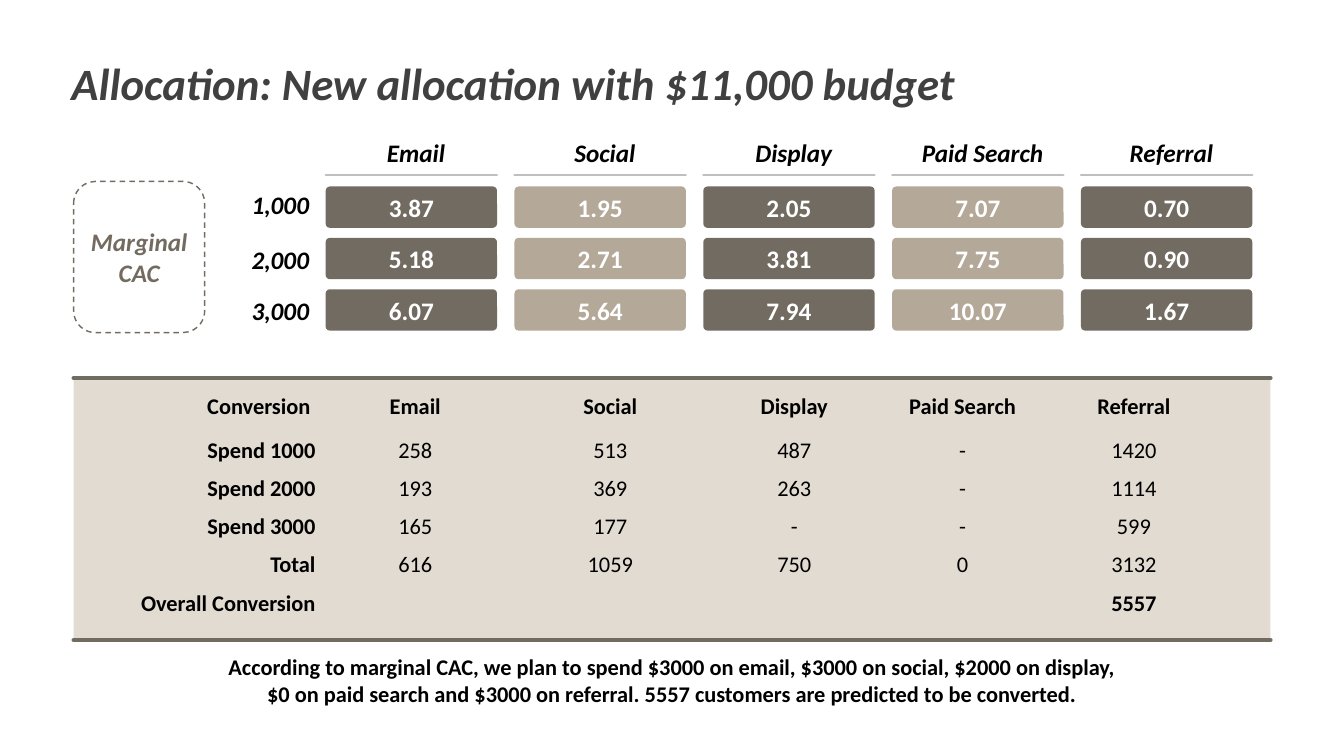
"""Build the slide on allocating an $11,000 budget by marginal CAC."""
from dataclasses import dataclass
from itertools import cycle

from lxml.etree import SubElement
from pptx import Presentation
from pptx.dml.color import RGBColor
from pptx.enum.dml import MSO_LINE_DASH_STYLE as Dash
from pptx.enum.shapes import MSO_CONNECTOR as Connector, MSO_SHAPE as Shape
from pptx.enum.text import MSO_ANCHOR as Anchor, MSO_AUTO_SIZE as AutoSize, PP_ALIGN as Align
from pptx.oxml.ns import qn
from pptx.util import Inches, Pt

FONT = "Calibri"
WHITE = RGBColor(0xFF, 0xFF, 0xFF)
BLACK = RGBColor(0, 0, 0)
CHARCOAL = RGBColor(0x40, 0x40, 0x40)
DARK_TAUPE = RGBColor(0x72, 0x6B, 0x61)
LIGHT_TAUPE = RGBColor(0xB4, 0xA8, 0x99)
LABEL_TAUPE = RGBColor(0x73, 0x6B, 0x60)
SAND = RGBColor(0xC6, 0xB8, 0xA5)
SILVER = RGBColor(0xBF, 0xBF, 0xBF)
NO_GRID_STYLE = "{2D5ABB26-0587-4C30-8999-92F81FD0307C}"

SLIDE_W, SLIDE_H = Inches(13.33), Inches(7.5)


def across(percent: float) -> int:
    """Turn a percentage of the slide's width into a length."""
    return round(SLIDE_W * percent / 100)


def down(percent: float) -> int:
    """Turn a percentage of the slide's height into a length."""
    return round(SLIDE_H * percent / 100)


@dataclass(frozen=True)
class Box:
    """A rectangle in percentages of the slide's width and height."""
    left: float
    top: float
    width: float
    height: float

    def lengths(self) -> tuple[int, int, int, int]:
        """Return left, top, width and height as lengths."""
        return across(self.left), down(self.top), across(self.width), down(self.height)


@dataclass(frozen=True)
class TextStyle:
    """The look of a text."""
    size: int = 18
    color: RGBColor = BLACK
    bold: bool = True
    italic: bool = False
    align: Align = Align.CENTER
    anchor: Anchor = Anchor.MIDDLE


@dataclass(frozen=True)
class Channel:
    """A marketing channel with marginal CAC and conversions per spend level."""
    name: str
    marginal_cac: tuple[str, ...]
    conversions: tuple[str, ...]


CHANNELS = (
    Channel("Email", ("3.87", "5.18", "6.07"), ("258", "193", "165", "616")),
    Channel("Social", ("1.95", "2.71", "5.64"), ("513", "369", "177", "1059")),
    Channel("Display", ("2.05", "3.81", "7.94"), ("487", "263", "-", "750")),
    Channel("Paid Search", ("7.07", "7.75", "10.07"), ("-", "-", "-", "0")),
    Channel("Referral", ("0.70", "0.90", "1.67"), ("1420", "1114", "599", "3132")),
)
SPEND_TOPS = {"1,000": 26.53, "2,000": 33.73, "3,000": 40.53}
CONVERSION_LABELS = ("Conversion ", "Spend 1000", "Spend 2000", "Spend 3000",
                     "Total", "Overall Conversion")
COLUMN_WIDTHS = (14.55, 14.7, 14.33, 13.05, 12, 13.5)
ROW_HEIGHTS = (6.67, 4.53, 4.53, 4.53, 4.53, 5.33)

CARD = Box(24.23, 24.67, 12.75, 5.47)
CARD_STEP_X, CARD_STEP_Y = 14.05, 6.8
HEADING_SHIFT, HEADING_TOP, HEADING_H, RULE_TOP = 0.35, 19.6, 3.2, 23.2
BAND = Box(5.48, 50, 89.05, 34.67)

TITLE = TextStyle(32, CHARCOAL, italic=True, align=Align.LEFT, anchor=Anchor.TOP)
HEADING = TextStyle(italic=True, anchor=Anchor.BOTTOM)
CARD_TEXT = TextStyle(color=WHITE)
CAC_TEXT = TextStyle(color=LABEL_TAUPE, italic=True)
NOTE = TextStyle(16, anchor=Anchor.TOP)
ROW_LABEL = TextStyle(16, align=Align.RIGHT)
BOLD_CELL = TextStyle(16)
PLAIN_CELL = TextStyle(16, bold=False)


def write(frame, text: str, style: TextStyle) -> None:
    """Fill a text frame and style each of its paragraphs."""
    frame.text = text
    for paragraph in frame.paragraphs:
        paragraph.alignment = style.align
        font = paragraph.font
        font.name, font.size = FONT, Pt(style.size)
        font.bold, font.italic = style.bold, style.italic
        font.color.rgb = style.color


def add_text(slide, box: Box, text: str, style: TextStyle, wrap: bool = True,
             grow: bool = False) -> None:
    """Add a text box."""
    frame = slide.shapes.add_textbox(*box.lengths()).text_frame
    write(frame, text, style)
    frame.word_wrap = wrap
    frame.vertical_anchor = style.anchor
    frame.auto_size = AutoSize.SHAPE_TO_FIT_TEXT if grow else AutoSize.NONE


def add_block(slide, kind: Shape, box: Box, fill: RGBColor | None = None, alpha: int = 100,
              text: str = "", style: TextStyle = CARD_TEXT):
    """Add a shape without outline, optionally filled and labelled."""
    block = slide.shapes.add_shape(kind, *box.lengths())
    block.shadow.inherit = False
    block.line.fill.background()
    if fill is None:
        block.fill.background()
    else:
        block.fill.solid()
        block.fill.fore_color.rgb = fill
    if alpha < 100:
        tint = block.element.spPr.find(f"{qn('a:solidFill')}/{qn('a:srgbClr')}")
        SubElement(tint, qn("a:alpha")).set("val", str(alpha * 1000))
    if text:
        write(block.text_frame, text, style)
        block.text_frame.vertical_anchor = style.anchor
    return block


def add_rule(slide, left: float, right: float, top: float, color: RGBColor, weight: float) -> None:
    """Add a horizontal line with round ends."""
    rule = slide.shapes.add_connector(Connector.STRAIGHT, across(left), down(top),
                                      across(right), down(top))
    rule.line.color.rgb, rule.line.width = color, Pt(weight)
    properties = rule.element.spPr
    properties.find(qn("a:ln")).set("cap", "rnd")
    SubElement(properties, qn("a:effectLst"))


def add_channel(slide, column: int, channel: Channel, fill: RGBColor) -> None:
    """Add a channel's heading, rule and marginal CAC cards."""
    left = CARD.left + column * CARD_STEP_X
    add_text(slide, Box(left + HEADING_SHIFT, HEADING_TOP, CARD.width, HEADING_H),
             channel.name, HEADING)
    add_rule(slide, left, left + CARD.width, RULE_TOP, SILVER, 1.5)
    for row, cost in enumerate(channel.marginal_cac):
        box = Box(left, CARD.top + row * CARD_STEP_Y, CARD.width, CARD.height)
        card = add_block(slide, Shape.ROUNDED_RECTANGLE, box, fill, text=cost)
        card.adjustments[0] = 0.1


def add_conversions(slide) -> None:
    """Add the table of conversions per channel and spend level."""
    columns = [CONVERSION_LABELS] + [(c.name, *c.conversions, "") for c in CHANNELS]
    columns[-1] = (*columns[-1][:-1], "5557")
    box = Box(9, 51.07, sum(COLUMN_WIDTHS), sum(ROW_HEIGHTS))
    frame = slide.shapes.add_table(len(ROW_HEIGHTS), len(columns), *box.lengths())
    frame.element.find(f".//{qn('a:tableStyleId')}").text = NO_GRID_STYLE
    table = frame.table
    table.first_row = table.horz_banding = False
    for row, height in zip(table.rows, ROW_HEIGHTS):
        row.height = down(height)
    for x, (values, width) in enumerate(zip(columns, COLUMN_WIDTHS)):
        table.columns[x].width = across(width)
        for y, value in enumerate(values):
            cell = table.cell(y, x)
            cell.fill.background()
            cell.margin_left = cell.margin_top = cell.margin_right = Inches(0.01)
            cell.margin_bottom = Inches(0.1)
            cell.vertical_anchor = Anchor.BOTTOM if x == 4 and value == "-" else Anchor.MIDDLE
            edge_row = y in (0, len(values) - 1)
            style = ROW_LABEL if x == 0 else BOLD_CELL if edge_row else PLAIN_CELL
            write(cell.text_frame, value, style)


def main() -> None:
    """Draw the slide and save it."""
    deck = Presentation()
    deck.slide_width, deck.slide_height = SLIDE_W, SLIDE_H
    slide = deck.slides.add_slide(deck.slide_layouts[6])

    add_block(slide, Shape.RECTANGLE, Box(2.63, 5.33, 94.9, 90), WHITE, alpha=75)
    add_text(slide, Box(4.58, 6.67, 67.97, 8.53),
             "Allocation: New allocation with $11,000 budget", TITLE, wrap=False, grow=True)
    for column, (channel, fill) in enumerate(zip(CHANNELS, cycle((DARK_TAUPE, LIGHT_TAUPE)))):
        add_channel(slide, column, channel, fill)
    for spend, top in SPEND_TOPS.items():
        add_text(slide, Box(14.48, top, CARD.width, HEADING_H), spend, HEADING)
    marginal_cac = add_block(slide, Shape.ROUNDED_RECTANGLE, Box(5.48, 24, 9.75, 20),
                             text="Marginal\nCAC", style=CAC_TEXT)
    marginal_cac.line.color.rgb, marginal_cac.line.width = DARK_TAUPE, Pt(1)
    marginal_cac.line.dash_style = Dash.DASH

    add_block(slide, Shape.RECTANGLE, BAND, SAND, alpha=50)
    for edge in (BAND.top, BAND.top + BAND.height):
        add_rule(slide, BAND.left, BAND.left + BAND.width, edge, DARK_TAUPE, 3)
    add_conversions(slide)
    add_text(slide, Box(7.65, 85.73, 84.7, 8.53),
             "According to marginal CAC, we plan to spend $3000 on email, $3000 on social, "
             "$2000 on display,\n$0 on paid search and $3000 on referral. "
             "5557 customers are predicted to be converted.", NOTE, grow=True)
    deck.save("out.pptx")


if __name__ == "__main__":
    main()
